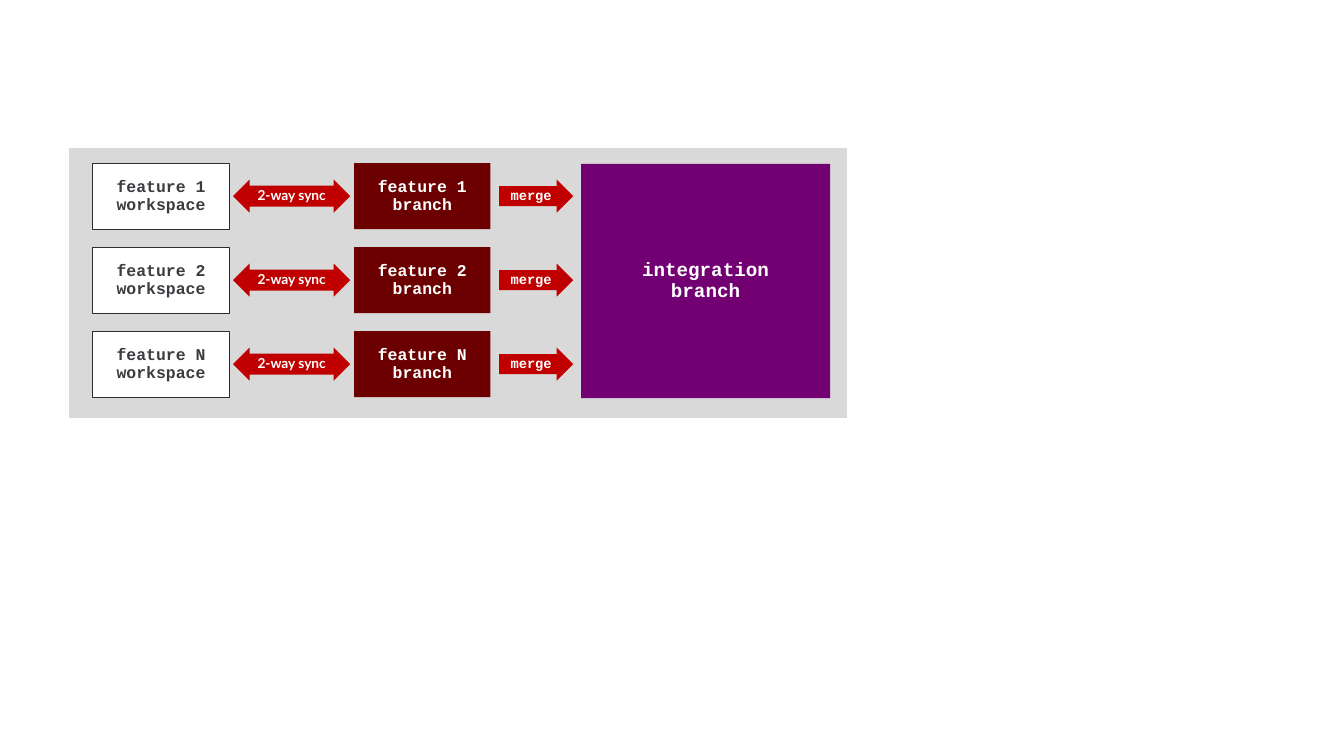
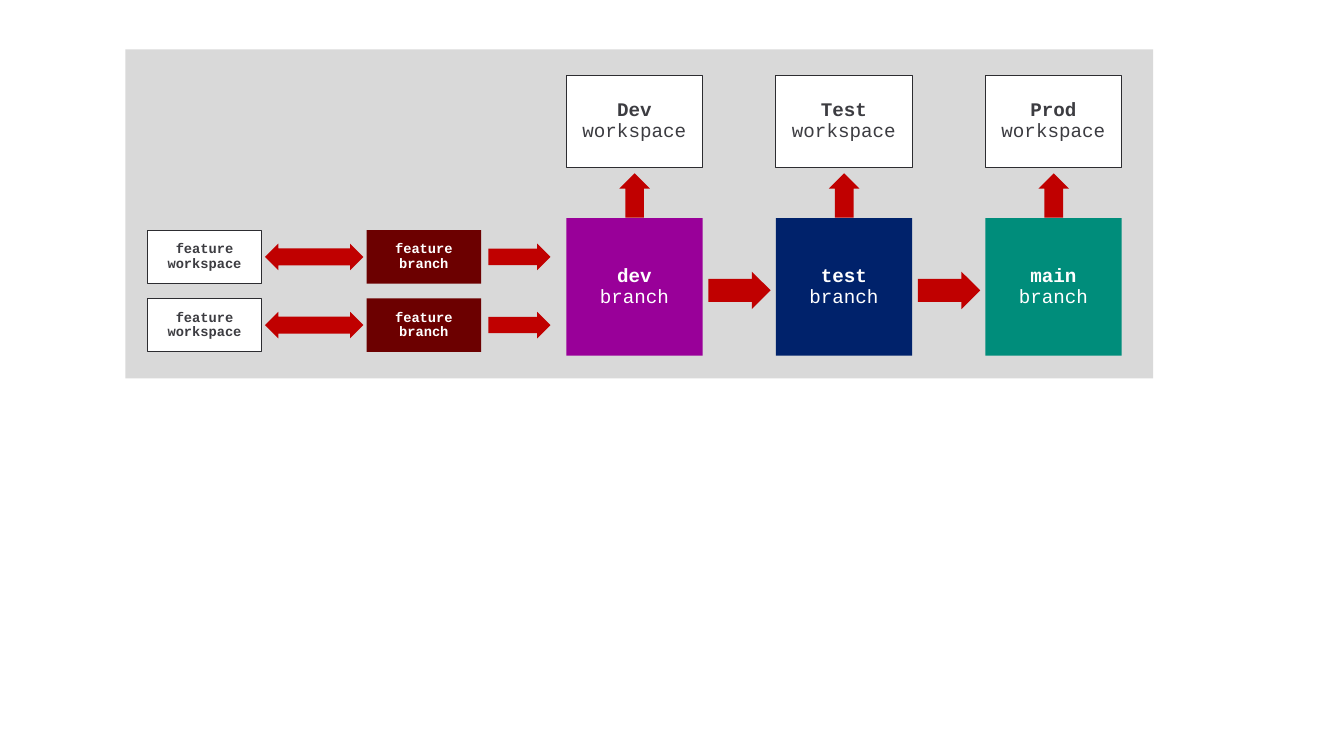
from pptx import Presentation
from pptx.dml.color import RGBColor
from pptx.enum.shapes import MSO_SHAPE as Kind
from pptx.enum.text import MSO_ANCHOR as Anchor, PP_ALIGN as Align
from pptx.util import Inches, Pt

WHITE, GREY, INK, EDGE = "FFFFFF", "D9D9D9", "3C3C41", "2D2D31"
RED, MAROON, PURPLE = "C00000", "6C0000", "730073"
MONO, SANS = "Courier New", "Lato"


def color(code):
    return RGBColor.from_string(code)


def part(box, x, y, w, h):
    """Return the box at percentages x, y, w, h of another box."""
    left, top, wide, high = box
    return (left + wide * x / 100, top + high * y / 100,
            wide * w / 100, high * h / 100)


def draw(shapes, box, fill, kind=Kind.RECTANGLE, lines=(), size=12,
         ink=WHITE, font=MONO, bold=True, edge=None):
    """Add a shape; bold says whether lines after the first are bold too."""
    shape = shapes.add_shape(kind, *map(Inches, box))
    shape.shadow.inherit = False
    shape.fill.solid()
    shape.fill.fore_color.rgb = color(fill)
    if edge:
        shape.line.color.rgb = color(edge)
        shape.line.width = Pt(0.75)
    else:
        shape.line.fill.background()
    if lines:
        frame = shape.text_frame
        frame.word_wrap = True
        frame.vertical_anchor = Anchor.MIDDLE
        frame.margin_left = frame.margin_right = 0
        frame.margin_top = frame.margin_bottom = 0
        frame.text = "\n".join(lines)
        for i, para in enumerate(frame.paragraphs):
            para.alignment = Align.CENTER
            para.line_spacing = 0.9
            para.font.name = font
            para.font.size = Pt(size)
            para.font.bold = bold or i == 0
            para.font.color.rgb = color(ink)
    return shape


def arrow(shapes, box, kind=Kind.RIGHT_ARROW, shaft=0.61, **text):
    shape = draw(shapes, box, RED, kind, **text)
    shape.adjustments[0] = shaft
    shape.adjustments[1] = 0.5


def space(shapes, box, lines, size, bold=True):
    """Add a white workspace card."""
    draw(shapes, box, WHITE, lines=lines, size=size, ink=INK,
         bold=bold, edge=EDGE)


def feature(slide, box, name, size, sync=(), merge=()):
    """Add a row: workspace, sync arrow, branch, merge arrow."""
    shapes = slide.shapes.add_group_shape().shapes
    arrow(shapes, part(box, 84.6, 25, 15.4, 50), lines=merge, size=10)
    draw(shapes, part(box, 54.4, 0, 28.4, 100), MAROON,
         lines=(name, "branch"), size=size)
    space(shapes, part(box, 0, 0, 28.4, 100), (name, "workspace"), size)
    arrow(shapes, part(box, 29.2, 25, 24.4, 50), Kind.LEFT_RIGHT_ARROW,
          0.63, lines=sync, size=10, font=SANS)


def stage(slide, box, title, branch, fill):
    """Add a column: workspace above, arrow up, branch below."""
    shapes = slide.shapes.add_group_shape().shapes
    draw(shapes, part(box, 0, 51, 100, 49), fill,
         lines=(branch, "branch"), size=14, bold=False)
    space(shapes, part(box, 0, 0, 100, 32.8), (title, "workspace"), 14, False)
    arrow(shapes, part(box, 39, 35, 22.4, 15.8), Kind.UP_ARROW)


def merging(slide):
    left, top = 0.7, 1.5
    draw(slide.shapes, (left, top, 7.87, 2.73), GREY)
    draw(slide.shapes, (left + 5.18, top + 0.16, 2.52, 2.37), PURPLE,
         lines=("integration", "branch"), size=14)
    for i, mark in enumerate("12N"):
        row = left + 0.24, top + 0.15 + 0.85 * i, 4.86, 0.67
        feature(slide, row, f"feature {mark}", 12, ["2-way sync"], ["merge"])


def release(slide):
    left, top = 1.27, 0.5
    draw(slide.shapes, (left, top, 10.4, 3.33), GREY)
    for i in range(2):
        row = left + 0.22, top + 1.83 + 0.69 * i, 4.08, 0.54
        feature(slide, row, "feature", 10)
    stages = (("Dev", "dev", "990099"), ("Test", "test", "00226B"),
              ("Prod", "main", "008D7B"))
    for i, look in enumerate(stages):
        col = left + 4.46 + 2.12 * i, top + 0.26, 1.38, 2.84
        stage(slide, col, *look)
        if i < len(stages) - 1:
            arrow(slide.shapes, part(col, 104.3, 70, 45.6, 13.4))


def main():
    deck = Presentation()
    deck.slide_width, deck.slide_height = Inches(13.6), Inches(7.65)
    blank = deck.slide_layouts[6]
    for build in (merging, release):
        build(deck.slides.add_slide(blank))
    deck.save("out.pptx")


if __name__ == "__main__":
    main()
